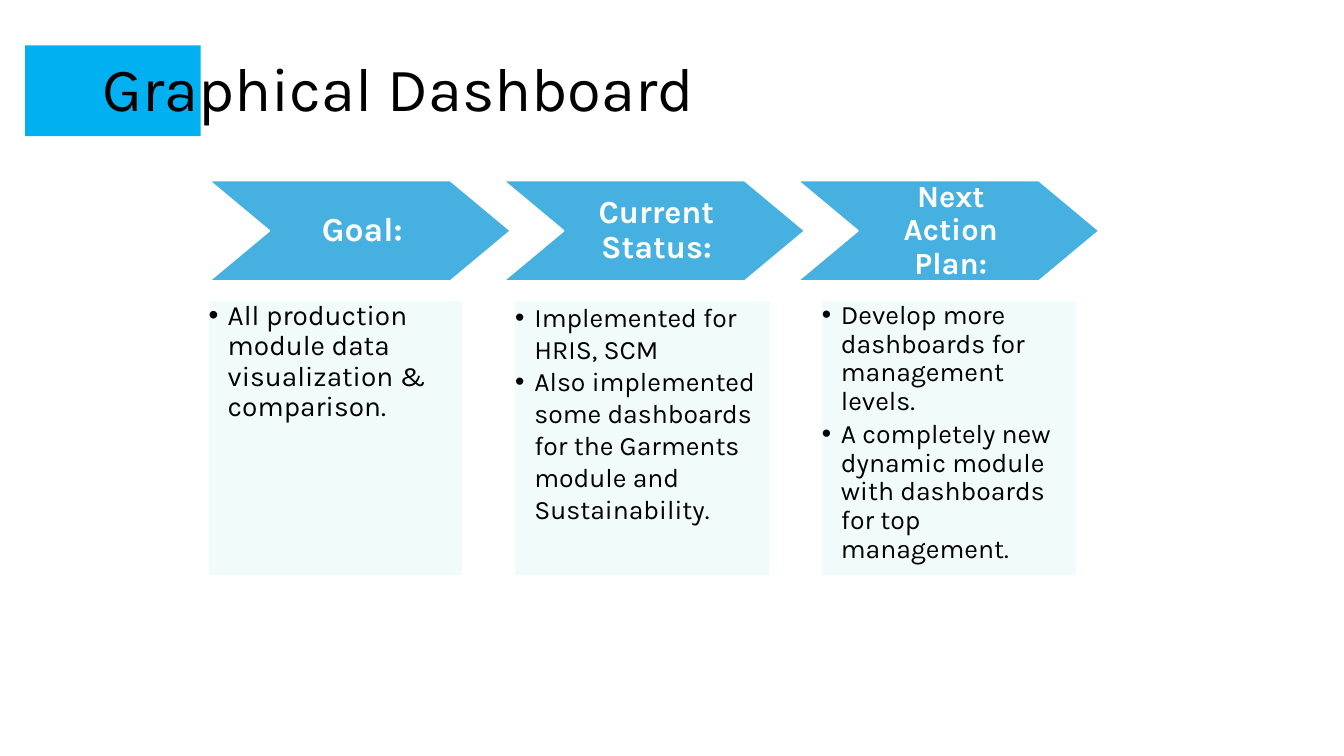
from lxml.etree import SubElement
from pptx import Presentation
from pptx.dml.color import RGBColor
from pptx.enum.shapes import MSO_SHAPE
from pptx.enum.text import MSO_ANCHOR, MSO_AUTO_SIZE, PP_ALIGN
from pptx.oxml.ns import qn
from pptx.util import Pt

theme = {
    "font": "Karla",
    "block": RGBColor.from_string("00B0F0"),
    "arrow": RGBColor.from_string("46B1E1"),
    "panel": RGBColor.from_string("F2FBFB"),
    "dark": RGBColor.from_string("000000"),
    "light": RGBColor.from_string("FFFFFF"),
    "title": 44,
    "heads": (24, 23, 22),
    "lists": (20, 19, 19),
}

steps = [
    ("Goal:", 2, 0.9, 3, ["All production module data visualization & comparison."]),
    ("Current Status:", 4, 1.0, 0, [
        "Implemented for HRIS, SCM",
        "Also implemented some dashboards for the Garments module and Sustainability.",
    ]),
    ("Next Action Plan:", 1, 0.9, 3, [
        "Develop more dashboards for management levels.",
        "A completely new dynamic module with dashboards for top management.",
    ]),
]


def place(shape, left, top, width, height):
    shape.left, shape.top = Pt(left), Pt(top)
    shape.width, shape.height = Pt(width), Pt(height)


def write(para, text, size, color, bold=False, space=0.9, after=0, align=PP_ALIGN.LEFT):
    para.alignment = align
    para.line_spacing = space
    para.space_before = Pt(0)
    para.space_after = Pt(after)
    run = para.add_run()
    run.text = text
    run.font.name = theme["font"]
    run.font.size = Pt(size)
    run.font.bold = bold
    run.font.color.rgb = color


deck = Presentation()
deck.slide_width, deck.slide_height = Pt(960), Pt(540)
slide = deck.slides.add_slide(deck.slide_layouts[4])
shapes = slide.shapes
holders = {holder.placeholder_format.idx: holder for holder in slide.placeholders}
spare = holders[3].element
spare.getparent().remove(spare)

block = shapes.add_shape(MSO_SHAPE.RECTANGLE, Pt(18), Pt(32.4), Pt(125.3), Pt(64.8))
block.shadow.inherit = False
block.fill.solid()
block.fill.fore_color.rgb = theme["block"]
block.line.fill.background()
title = shapes.title
title.element.addprevious(block.element)

place(title, 66.2, 28.8, 813.6, 72.7)
title.text_frame.auto_size = MSO_AUTO_SIZE.NONE
title.text_frame.vertical_anchor = MSO_ANCHOR.MIDDLE
write(title.text_frame.paragraphs[0], "Graphical Dashboard", theme["title"], theme["dark"])

for col, (head, slot, space, after, items) in enumerate(steps):
    panel = holders[slot]
    place(panel, 149 + 219 * col, 215.3, 181.4, 195.8)
    panel.fill.solid()
    panel.fill.fore_color.rgb = theme["panel"]
    frame = panel.text_frame
    frame.auto_size = MSO_AUTO_SIZE.NONE
    frame.vertical_anchor = MSO_ANCHOR.TOP
    frame.margin_left = frame.margin_right = frame.margin_top = frame.margin_bottom = 0
    for row, item in enumerate(items):
        para = frame.add_paragraph() if row else frame.paragraphs[0]
        write(para, item, theme["lists"][col], theme["dark"], space=space, after=after)
        props = para._p.get_or_add_pPr()
        props.set("marL", str(Pt(13.7)))
        props.set("indent", str(Pt(-13.7)))
        SubElement(props, qn("a:buFont"), typeface="Arial")
        SubElement(props, qn("a:buChar"), char="•")

for col, step in enumerate(steps):
    arrow = shapes.add_shape(
        MSO_SHAPE.CHEVRON, Pt(149 + 210.2 * col), Pt(128.9), Pt(216), Pt(72))
    arrow.adjustments[0] = 0.6
    arrow.shadow.inherit = False
    arrow.fill.solid()
    arrow.fill.fore_color.rgb = theme["arrow"]
    arrow.line.color.rgb = theme["light"]
    arrow.line.width = Pt(1.5)
    frame = arrow.text_frame
    frame.word_wrap = True
    frame.vertical_anchor = MSO_ANCHOR.MIDDLE
    frame.margin_left, frame.margin_right = Pt(8), Pt(4.5)
    frame.margin_top = frame.margin_bottom = Pt(2)
    write(frame.paragraphs[0], step[0], theme["heads"][col], theme["light"],
          bold=True, align=PP_ALIGN.CENTER)

deck.save("out.pptx")
